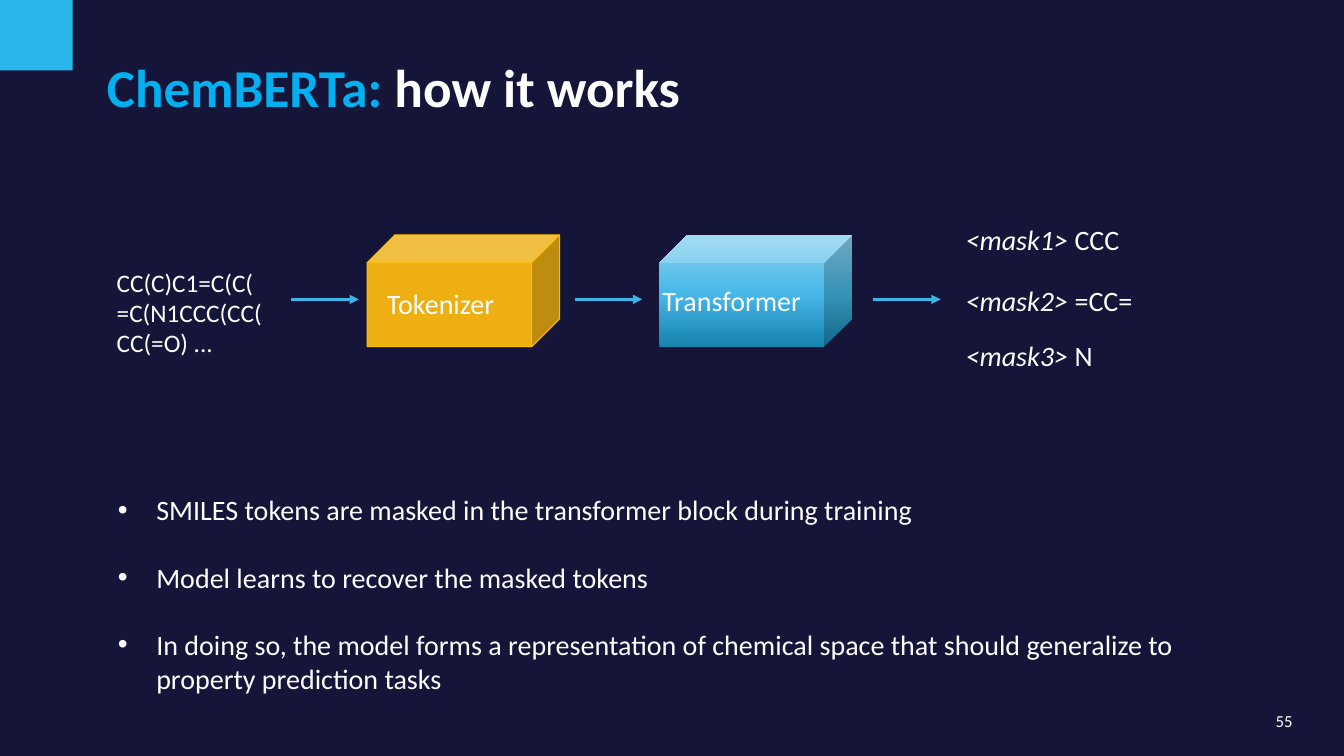
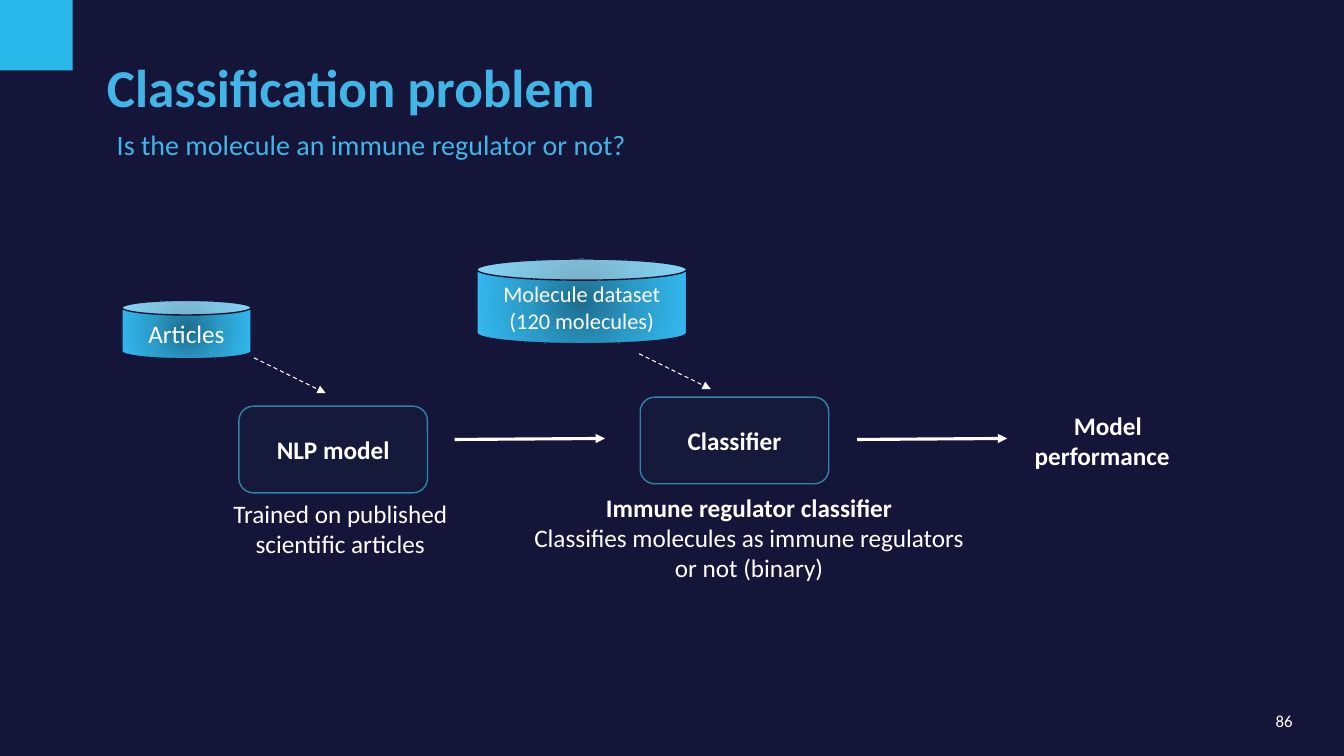
from dataclasses import dataclass

import pptx
import pptx.dml.color
import pptx.enum.dml
import pptx.enum.shapes
import pptx.enum.text
import pptx.oxml
import pptx.oxml.ns
import pptx.util
from pptx.util import Inches

ALIGN = pptx.enum.text.PP_ALIGN
ANCHOR = pptx.enum.text.MSO_ANCHOR
SHAPE = pptx.enum.shapes.MSO_SHAPE
DASH = pptx.enum.dml.MSO_LINE.DASH


@dataclass(frozen=True)
class Theme:
    font: str = "Calibri"
    # Colours
    background: str = "15153A"
    text: str = "FFFFFF"
    accent: str = "41B6E6"
    highlight: str = "00B0F0"
    badge: str = "29B7EA"
    flow: str = "3CB4E5"
    tokenizer: str = "EEAF12"
    tokenizer_line: str = "FFC000"
    node: str = "151A3A"
    node_line: str = "2F84A7"
    cube_stops: tuple = ((0, "1783AF"), (48, "47B8E7"), (100, "8DD3F0"))
    can_stops: tuple = ((0, "1D6C8C"), (50, "2B9CCA"), (100, "34BBF2"))
    # Type sizes
    title: int = 38
    body: int = 20
    label: int = 18
    small: int = 16
    number: int = 12


THEME = Theme()
UPWARD = '<a:lin ang="16200000" scaled="0"/>'
RADIAL = ('<a:path path="circle"><a:fillToRect l="50000" t="50000" '
          'r="50000" b="50000"/></a:path>')


def rgb(value):
    return pptx.dml.color.RGBColor.from_string(value)


def drawing_xml(tag, attributes="", content=""):
    namespace = pptx.oxml.ns.nsdecls("a")
    return pptx.oxml.parse_xml(
        f"<a:{tag} {namespace} {attributes}>{content}</a:{tag}>")


# Text
def write_span(para, text, *, size=THEME.body, color=THEME.text,
               bold=False, italic=False):
    span = para.add_run()
    span.text = text
    span.font.name = THEME.font
    span.font.size = pptx.util.Pt(size)
    span.font.color.rgb = rgb(color)
    span.font.bold = bold
    span.font.italic = italic


def prepare_frame(frame, anchor=ANCHOR.TOP, inset=True):
    frame.word_wrap = True
    frame.auto_size = pptx.enum.text.MSO_AUTO_SIZE.NONE
    frame.vertical_anchor = anchor
    frame.margin_left = frame.margin_right = Inches(0.1 if inset else 0)
    frame.margin_top = frame.margin_bottom = Inches(0.05 if inset else 0)


def fill_frame(frame, paragraphs, align=ALIGN.LEFT, **text_format):
    """Each paragraph is a list of (text, format changes) pairs."""
    for index, spans in enumerate(paragraphs):
        para = frame.add_paragraph() if index else frame.paragraphs[0]
        para.alignment = align
        for text, changes in spans:
            write_span(para, text, **{**text_format, **changes})


def plain(*lines):
    return [[(line, {})] for line in lines]


def place(shape, left, top, width, height):
    shape.left, shape.top = Inches(left), Inches(top)
    shape.width, shape.height = Inches(width), Inches(height)


def add_text(page, area, paragraphs, anchor=ANCHOR.TOP, inset=True,
             **text_format):
    box = page.shapes.add_textbox(*map(Inches, area))
    prepare_frame(box.text_frame, anchor, inset)
    fill_frame(box.text_frame, paragraphs, **text_format)


def fill_list(box, area, items):
    place(box, *area)
    prepare_frame(box.text_frame)
    fill_frame(box.text_frame, plain(*items))
    for index, para in enumerate(box.text_frame.paragraphs):
        properties = para._p.get_or_add_pPr()
        properties.set("marL", str(Inches(0.38)))
        properties.set("indent", str(-Inches(0.38)))
        properties.append(drawing_xml(
            "buClr", content=f'<a:srgbClr val="{THEME.text}"/>'))
        properties.append(drawing_xml("buFont", 'typeface="Arial"'))
        properties.append(drawing_xml("buChar", 'char="•"'))
        para.space_before = pptx.util.Pt(24 if index else 0)


# Shapes
def apply_gradient(shape, stops, direction):
    shape.fill.background()
    properties = shape._element.spPr
    stop_list = "".join(
        f'<a:gs pos="{position * 1000}"><a:srgbClr val="{color}"/></a:gs>'
        for position, color in stops)
    gradient = drawing_xml(
        "gradFill", 'rotWithShape="1"',
        f"<a:gsLst>{stop_list}</a:gsLst>{direction}")
    properties.replace(properties.find(pptx.oxml.ns.qn("a:noFill")), gradient)


def add_shape(page, kind, area, fill=None, gradient=None, line=None,
              line_width=1, paragraphs=(), **text_format):
    shape = page.shapes.add_shape(kind, *map(Inches, area))
    shape.shadow.inherit = False
    if gradient:
        apply_gradient(shape, *gradient)
    else:
        shape.fill.solid()
        shape.fill.fore_color.rgb = rgb(fill)
    if line:
        shape.line.color.rgb = rgb(line)
        shape.line.width = pptx.util.Pt(line_width)
    else:
        shape.line.fill.background()
    if paragraphs:
        prepare_frame(shape.text_frame, ANCHOR.MIDDLE)
        fill_frame(shape.text_frame, paragraphs, ALIGN.CENTER, **text_format)


def add_can(page, area, *lines, size):
    add_shape(page, SHAPE.CAN, area, gradient=(THEME.can_stops, RADIAL),
              line=THEME.background, paragraphs=plain(*lines), size=size)


def add_node(page, left, top, text):
    add_shape(page, SHAPE.ROUNDED_RECTANGLE, (left, top, 1.87, 0.86),
              fill=THEME.node, line=THEME.node_line, paragraphs=plain(text),
              size=THEME.label, bold=True)


def add_arrow(page, start, end, color=THEME.text, width=2.25, dash=None):
    arrow = page.shapes.add_connector(
        pptx.enum.shapes.MSO_CONNECTOR.STRAIGHT, *map(Inches, start + end))
    arrow.line.color.rgb = rgb(color)
    arrow.line.width = pptx.util.Pt(width)
    if dash:
        arrow.line.dash_style = dash
    properties = arrow._element.spPr
    properties.find(pptx.oxml.ns.qn("a:ln")).append(
        drawing_xml("tailEnd", 'type="triangle"'))
    properties.append(drawing_xml("effectLst"))


# Parts shared by every page
def add_page(deck, layout, title, number):
    page = deck.slides.add_slide(deck.slide_layouts.get_by_name(layout))
    add_shape(page, SHAPE.RECTANGLE, (0, 0, 0.72, 0.7), fill=THEME.badge)
    heading = page.shapes.title
    place(heading, 1.06, 0.61, 11.76, 0.58)
    prepare_frame(heading.text_frame, inset=False)
    fill_frame(heading.text_frame, [title], size=THEME.title, bold=True)
    heading.text_frame.paragraphs[0].line_spacing = 0.9
    add_text(page, (9.82, 7.05, 3, 0.2), plain(number), ANCHOR.MIDDLE,
             inset=False, align=ALIGN.RIGHT, size=THEME.number)
    return page


def build_how_it_works(deck):
    page = add_page(deck, "Title and Content",
                    [("ChemBERTa: ", {"color": THEME.highlight}),
                     ("how it works", {})], "55")
    # Pipeline
    add_text(page, (1.06, 2.6, 1.66, 1.01),
             plain("CC(C)C1=C(C(=C(N1CCC(CC(CC(=O) ..."), size=THEME.label)
    add_shape(page, SHAPE.CUBE, (3.64, 2.33, 1.91, 1.11),
              fill=THEME.tokenizer, line=THEME.tokenizer_line,
              line_width=0.75)
    add_text(page, (3.74, 2.79, 1.6, 0.44), plain("Tokenizer"))
    add_shape(page, SHAPE.CUBE, (6.54, 2.33, 1.91, 1.11),
              gradient=(THEME.cube_stops, UPWARD))
    add_text(page, (6.47, 2.76, 1.91, 0.44), plain("Transformer"))
    for left in (2.89, 5.7, 8.66):
        add_arrow(page, (left, 2.97), (left + 0.67, 2.97), THEME.flow)
    # Recovered tokens
    for top, mask, token in ((2.16, "<mask1> ", "CCC"),
                             (2.76, "<mask2> ", "=CC="),
                             (3.31, "<mask3> ", "N")):
        add_text(page, (9.48, top, 2.16, 0.44),
                 [[(mask, {"italic": True}), (token, {})]])
    # Explanation
    fill_list(page.placeholders[1], (1.07, 4.84, 10.94, 2.12), (
        "SMILES tokens are masked in the transformer block during training",
        "Model learns to recover the masked tokens",
        "In doing so, the model forms a representation of chemical space "
        "that should generalize to property prediction tasks"))


def build_classification(deck):
    page = add_page(deck, "Title Only",
                    [("Classification problem", {"color": THEME.accent})],
                    "86")
    add_text(page, (1.06, 1.22, 7.07, 0.44),
             plain("Is the molecule an immune regulator or not?"),
             color=THEME.accent)
    # Data sources
    add_can(page, (1.21, 2.98, 1.28, 0.58), "Articles", size=THEME.label)
    add_can(page, (4.73, 2.57, 2.08, 0.84), "Molecule dataset",
            "(120 molecules)", size=THEME.small)
    for left, top in ((2.52, 3.55), (6.34, 3.51)):
        add_arrow(page, (left, top), (left + 0.71, top + 0.35),
                  width=0.75, dash=DASH.DASH)
    # Models and result
    add_node(page, 2.37, 4.03, "NLP model")
    add_node(page, 6.35, 3.94, "Classifier")
    for left in (4.51, 8.5):
        add_arrow(page, (left, 4.36), (left + 1.49, 4.35))
    captions = (
        ((2.02, 4.89, 2.71, 0.71),
         plain("Trained on published scientific articles")),
        ((5.13, 4.83, 4.6, 1.01),
         [[("Immune regulator classifier", {"bold": True})],
          [("Classifies molecules as immune regulators or not (binary)",
            {})]]),
        ((9.81, 4.02, 2.3, 0.71),
         [[(" Model performance ", {"bold": True})]]),
    )
    for area, paragraphs in captions:
        add_text(page, area, paragraphs, align=ALIGN.CENTER,
                 size=THEME.label)


def main():
    deck = pptx.Presentation()
    deck.slide_width, deck.slide_height = Inches(13.33), Inches(7.5)
    backdrop = deck.slide_master.background.fill
    backdrop.solid()
    backdrop.fore_color.rgb = rgb(THEME.background)
    build_how_it_works(deck)
    build_classification(deck)
    deck.save("out.pptx")


if __name__ == "__main__":
    main()
